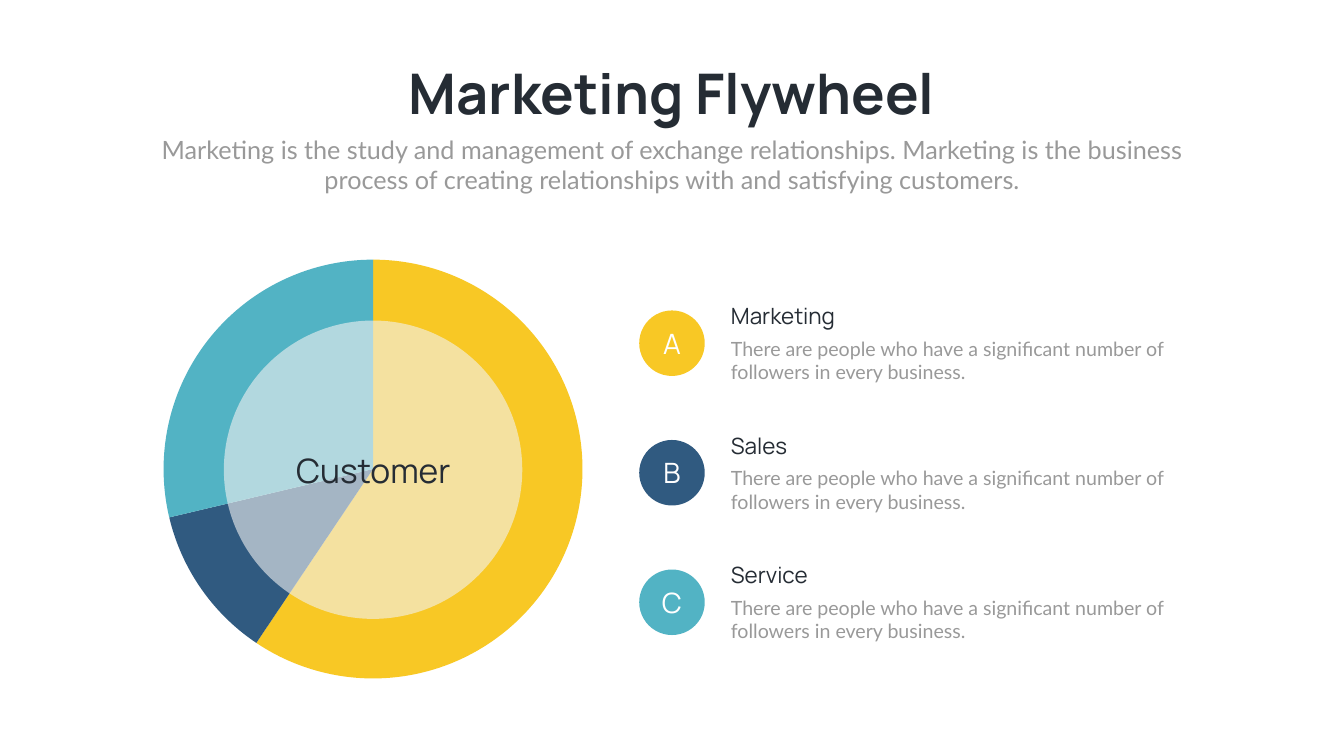
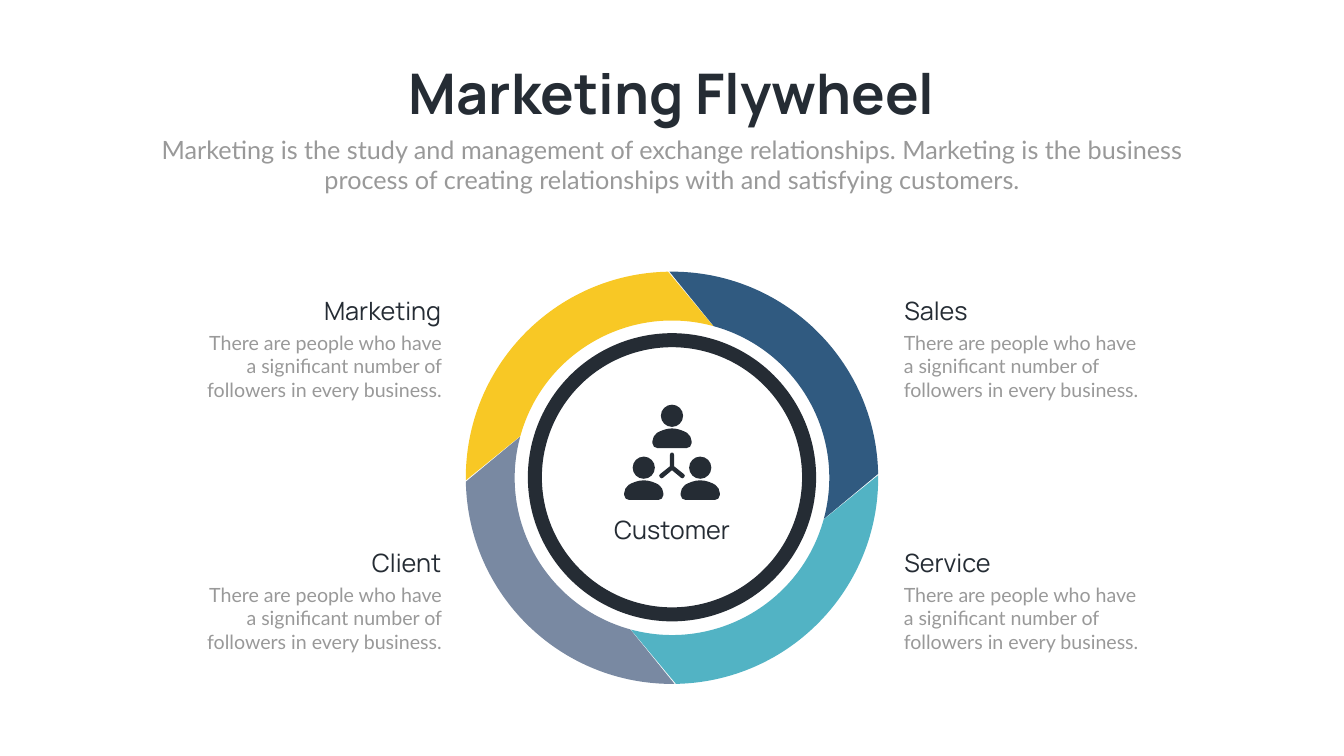
"""Build two marketing flywheel slides: a pie with a legend and a ring of four arcs."""
from dataclasses import dataclass
from math import cos, radians, sin, tan

from lxml import etree
from pptx import Presentation
from pptx.chart.data import CategoryChartData
from pptx.dml.color import RGBColor as Rgb
from pptx.enum.chart import XL_CHART_TYPE as Kind
from pptx.enum.shapes import MSO_SHAPE as Shape
from pptx.enum.text import MSO_ANCHOR as Anchor, MSO_AUTO_SIZE as Fit, PP_ALIGN as Align
from pptx.oxml import parse_xml
from pptx.oxml.ns import nsdecls, qn
from pptx.util import Inches, Pt


@dataclass(frozen=True)
class Theme:
    """Colours, fonts and type sizes."""
    ink: str = "252C34"
    gray: str = "999999"
    pale: str = "F2F2F2"
    white: str = "FFFFFF"
    gold: str = "F8C825"
    navy: str = "305A80"
    teal: str = "52B3C4"
    slate: str = "7989A2"
    head: str = "Manrope"
    body: str = "Lato"
    chart: str = "Arial"
    title: int = 80
    hub: int = 48
    mark: int = 40
    lead: int = 36
    item: int = 32
    note: int = 28
    tick: float = 9.6


T = Theme()
WIDE, HIGH = 26.66, 15
MID = WIDE / 2

TITLE = "Marketing Flywheel"
LEAD = ("Marketing is the study and management of exchange relationships. "
        "Marketing is the business process of creating relationships with "
        "and satisfying customers.")
NOTE = "There are people who have a significant number of followers in every business."
HUB = "Customer"
SHARES = [("A", "Marketing", 60, T.gold),
          ("B", "Sales", 12, T.navy),
          ("C", "Service", 29, T.teal)]
PARTS = [("Client", T.slate, 0, 1), ("Marketing", T.gold, 0, 0),
         ("Sales", T.navy, 1, 0), ("Service", T.teal, 1, 1)]

PEOPLE = [(MID, 8.03), (MID - 0.56, 9.06), (MID + 0.56, 9.06)]
BUST = [[(0, 0), (0.12, 0), (0.23, 0.05), (0.3, 0.09)],
        [(0.3, 0.09), (0.35, 0.13), (0.39, 0.19), (0.39, 0.26)],
        [(0.39, 0.29), (0.39, 0.35), (0.34, 0.39), (0.29, 0.39)]]
FORK = [[(0, 0), (0.02, 0), (0.04, 0.01), (0.04, 0.04)],
        [(0.04, 0.27)],
        [(0.24, 0.43), (0.26, 0.45), (0.26, 0.47), (0.24, 0.49)],
        [(0.24, 0.49), (0.24, 0.5), (0.22, 0.51), (0.21, 0.51)],
        [(0.21, 0.51), (0.2, 0.51), (0.19, 0.51), (0.18, 0.5)],
        [(0, 0.35)]]


def box(*dims):
    return [Inches(d) for d in dims]


def write(frame, text, size=T.note, font=T.body, color=T.gray, bold=False,
          align=Align.LEFT, wrap=True):
    frame.word_wrap = wrap
    para = frame.paragraphs[0]
    para.alignment = align
    run = para.add_run()
    run.text = text
    face = run.font
    face.size, face.name, face.bold = Pt(size), font, bold
    face.color.rgb = Rgb.from_string(color)


def label(slide, dims, text, **style):
    frame = slide.shapes.add_textbox(*box(*dims)).text_frame
    frame.auto_size = Fit.SHAPE_TO_FIT_TEXT
    write(frame, text, **style)


def paint(shape, fill=None, line=None, width=0):
    shape.shadow.inherit = False
    if fill:
        shape.fill.solid()
        shape.fill.fore_color.rgb = Rgb.from_string(fill)
    else:
        shape.fill.background()
    if line:
        shape.line.color.rgb = Rgb.from_string(line)
        shape.line.width = Pt(width)
    else:
        shape.line.fill.background()
    return shape


def disc(slide, x, y, size, **look):
    dims = box(x - size / 2, y - size / 2, size, size)
    return paint(slide.shapes.add_shape(Shape.OVAL, *dims), **look)


def trace(slide, runs, fill):
    """Draw a closed outline: a run of one point is a corner, of four a curve."""
    points, bends = [], []
    for run in runs:
        head, *tail = [tuple(box(*p)) for p in run]
        if not points or points[-1] != head:
            points.append(head)
        if tail:
            bends.append(len(points) - 1)
            points += tail
    pen = slide.shapes.build_freeform(*points[0], scale=1.0)
    pen.add_line_segments(points[1:], close=True)
    shape = paint(pen.convert_to_shape(), fill)
    lines = list(shape._element.iter(qn("a:lnTo")))
    for at in bends:
        first, *more = lines[at:at + 3]
        first.tag = qn("a:cubicBezTo")
        for line in more:
            first.append(line[0])
            line.getparent().remove(line)


def arc(x, y, radius, start, sweep):
    a, b = radians(start), radians(start + sweep)
    k = 4 / 3 * tan((b - a) / 4)
    unit = [(cos(a), sin(a)), (cos(a) - k * sin(a), sin(a) + k * cos(a)),
            (cos(b) + k * sin(b), sin(b) - k * cos(b)), (cos(b), sin(b))]
    return [(x + radius * u, y + radius * v) for u, v in unit]


def mirror(half, x, y):
    both = half + [[(-u, v) for u, v in reversed(run)] for run in reversed(half)]
    return [[(x + u, y + v) for u, v in run] for run in both]


def start(deck):
    slide = deck.slides.add_slide(deck.slide_layouts[6])
    label(slide, (7.58, 1.12, 11.5, 1.45), TITLE, size=T.title, font=T.head,
          color=T.ink, bold=True, align=Align.CENTER, wrap=False)
    label(slide, (2.92, 2.61, 20.82, 1.31), LEAD, size=T.lead, align=Align.CENTER)
    return slide


def pie(slide, x, y, size):
    data = CategoryChartData()
    data.categories = [str(i + 1) for i in range(len(SHARES))]
    data.add_series("Series 1", [share for _, _, share, _ in SHARES])
    dims = box(x - size / 2, y - size / 2, size, size)
    chart = slide.shapes.add_chart(Kind.PIE, *dims, data).chart
    chart.has_legend = chart.has_title = False
    chart.font.size, chart.font.name = Pt(T.tick), T.chart
    chart.font.color.rgb = Rgb(0, 0, 0)
    plot = chart.plots[0]
    plot.vary_by_categories = True
    for i, (*_, color) in enumerate(SHARES):
        form = plot.series[0].points[i].format
        form.fill.solid()
        form.fill.fore_color.rgb = Rgb.from_string(color)
        form.line.fill.background()
    area = chart._chartSpace.chart.plotArea
    for old in area.findall(qn("c:layout")):
        area.remove(old)
    area.insert(0, parse_xml(
        f'<c:layout {nsdecls("c")}><c:manualLayout><c:layoutTarget val="inner"/>'
        '<c:xMode val="edge"/><c:yMode val="edge"/><c:x val="0.005"/><c:y val="0.005"/>'
        '<c:w val="0.99"/><c:h val="0.987"/></c:manualLayout></c:layout>'))


def shares(deck):
    slide = start(deck)
    x, y = 7.4, 9.32
    pie(slide, x, y, 8.42)
    veil = disc(slide, x, y, 5.92, fill=T.pale)
    tint = veil.fill._xPr.find(qn("a:solidFill"))[0]
    etree.SubElement(tint, qn("a:alpha")).set("val", "60000")
    label(slide, (x - 2.35, 8.87, 4.71, 0.91), HUB, size=T.hub, font=T.head,
          color=T.ink, align=Align.CENTER)
    for i, (mark, name, _, color) in enumerate(SHARES):
        top = 5.95 + 2.57 * i
        label(slide, (14.4, top + 0.68, 9.06, 1.04), NOTE)
        label(slide, (14.4, top, 2.78, 0.64), name, size=T.item, font=T.head, color=T.ink)
        frame = disc(slide, MID, top + 0.86, 1.3, fill=color).text_frame
        frame.vertical_anchor = Anchor.MIDDLE
        write(frame, mark, size=T.mark, font=T.head, color=T.white, align=Align.CENTER)


def wheel(deck):
    slide = start(deck)
    y = 9.48
    for i, (_, color, *_) in enumerate(PARTS):
        turn = 90 * (i + 1)
        outer = arc(MID, y, 4.09, turn - 0.7, 89.6)
        inner = arc(MID, y, 3.12, turn + 15.4, 89.8)
        trace(slide, [outer, inner[::-1]], color)
    disc(slide, MID, 9.47, 5.44, line=T.ink, width=20)
    for name, _, col, row in PARTS[2:] + PARTS[1::-1]:
        top = 5.8 + 5 * row
        side = Align.LEFT if col else Align.RIGHT
        label(slide, (17.84 if col else 4.31, top, 4.54, 0.71), name, size=T.lead,
              font=T.head, color=T.ink, align=side)
        label(slide, (17.83 if col else 3.86, top + 0.71, 5, 1.51), NOTE, align=side)
    label(slide, (MID - 1.5, 10.16, 3, 0.71), HUB, size=T.lead, font=T.head,
          color=T.ink, align=Align.CENTER)
    for x, top in PEOPLE:
        trace(slide, [arc(x, top + 0.22, 0.22, 90 * i, 90) for i in range(4)], T.ink)
        trace(slide, mirror(BUST, x, top + 0.47), T.ink)
    trace(slide, mirror(FORK, MID, 8.98), T.ink)


def main():
    deck = Presentation()
    deck.slide_width, deck.slide_height = box(WIDE, HIGH)
    shares(deck)
    wheel(deck)
    deck.save("out.pptx")


if __name__ == "__main__":
    main()
